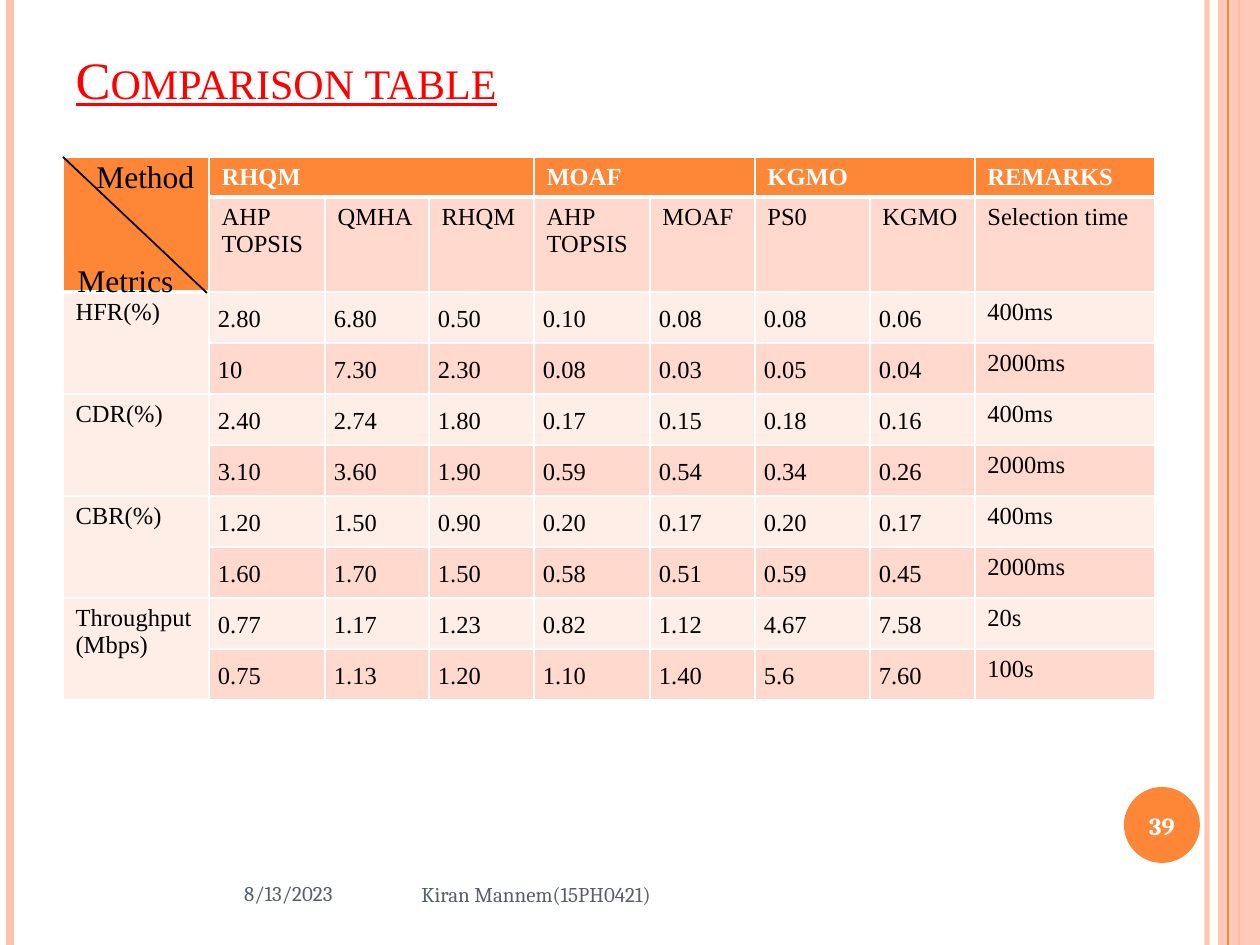
import pptx
import pptx.dml.color
import pptx.enum.shapes
import pptx.enum.text
import pptx.oxml
import pptx.oxml.ns
import pptx.util
import lxml.etree

PX = 914400 / 126
ORANGE, PEACH, BAND, LIGHT = "FE8637", "FEC3AE", "FFD9CE", "FFEDE8"
WHITE, BLACK, RED, SLATE = "FFFFFF", "000000", "FF0000", "575F6D"
SERIF, FOOTER_FONT = "Times New Roman", "Cambria"
ALIGN = pptx.enum.text.PP_ALIGN
ANCHOR = pptx.enum.text.MSO_ANCHOR

COLUMNS = [146, 116, 104, 105, 116, 105, 115, 105, 180]
ROWS = [40, 95] + [51] * 8
METHODS = [("RHQM", 1, 3), ("MOAF", 4, 5), ("KGMO", 6, 7), ("REMARKS", 8, 8)]
SUBHEADS = ["AHP\nTOPSIS", "QMHA", "RHQM", "AHP\nTOPSIS", "MOAF", "PS0", "KGMO",
            "Selection time"]
METRICS = ["HFR(%)", "CDR(%)", "CBR(%)", "Throughput(Mbps)"]
RESULTS = [
    ["2.80", "6.80", "0.50", "0.10", "0.08", "0.08", "0.06", "400ms"],
    ["10", "7.30", "2.30", "0.08", "0.03", "0.05", "0.04", "2000ms"],
    ["2.40", "2.74", "1.80", "0.17", "0.15", "0.18", "0.16", "400ms"],
    ["3.10", "3.60", "1.90", "0.59", "0.54", "0.34", "0.26", "2000ms"],
    ["1.20", "1.50", "0.90", "0.20", "0.17", "0.20", "0.17", "400ms"],
    ["1.60", "1.70", "1.50", "0.58", "0.51", "0.59", "0.45", "2000ms"],
    ["0.77", "1.17", "1.23", "0.82", "1.12", "4.67", "7.58", "20s"],
    ["0.75", "1.13", "1.20", "1.10", "1.40", "5.6", "7.60", "100s"],
]


def emu(*lengths):
    return [pptx.util.Emu(round(n * PX)) for n in lengths]


def rgb(value):
    return pptx.dml.color.RGBColor.from_string(value)


def set_alpha(sp, percent):
    """Make the shape's first solid colour partly transparent."""
    color = next(sp._element.spPr.iter(pptx.oxml.ns.qn("a:srgbClr")))
    lxml.etree.SubElement(color, pptx.oxml.ns.qn("a:alpha"), val=str(percent * 1000))


class Deck:
    """Holds the slide and draws styled elements on it, in px."""

    def __init__(self, prs):
        self.s = prs.slides.add_slide(prs.slide_layouts[5])

    def format(self, tf, size, color, font=SERIF, bold=False, align=ALIGN.LEFT):
        for p in tf.paragraphs:
            p.alignment = align
            for r in p.runs:
                r.font.size, r.font.name, r.font.bold = pptx.util.Pt(size), font, bold
                r.font.color.rgb = rgb(color)

    def title(self, text, *box):
        sp = self.s.shapes.title
        sp.left, sp.top, sp.width, sp.height = emu(*box)
        tf = sp.text_frame
        tf.text = text
        tf.vertical_anchor = ANCHOR.BOTTOM
        self.format(tf, 30, RED)
        font = tf.paragraphs[0].runs[0].font
        font.underline = True
        font._element.set("cap", "small")

    def text(self, text, box, size, color, anchor=ANCHOR.MIDDLE, shapes=None, **style):
        sp = (shapes or self.s.shapes).add_textbox(*emu(*box))
        tf = sp.text_frame
        tf.word_wrap = True
        tf.vertical_anchor = anchor
        tf.text = text
        self.format(tf, size, color, **style)

    def line(self, x1, y1, x2, y2, color, width, shapes=None):
        sp = (shapes or self.s.shapes).add_connector(
            pptx.enum.shapes.MSO_CONNECTOR.STRAIGHT, *emu(x1, y1, x2, y2))
        sp.line.color.rgb = rgb(color)
        sp.line.width = pptx.util.Pt(width)
        lxml.etree.SubElement(sp._element.spPr, pptx.oxml.ns.qn("a:effectLst"))
        return sp

    def shape(self, kind, box, color):
        sp = self.s.shapes.add_shape(kind, *emu(*box))
        sp.shadow.inherit = False
        sp.fill.solid()
        sp.fill.fore_color.rgb = rgb(color)
        sp.line.fill.background()
        return sp

    def table(self, left, top, columns, rows):
        tbl = self.s.shapes.add_table(
            len(rows), len(columns), *emu(left, top, sum(columns), sum(rows))).table
        for column, width in zip(tbl.columns, emu(*columns)):
            column.width = width
        for row, height in zip(tbl.rows, emu(*rows)):
            row.height = height
        return tbl

    def cell(self, cell, fill, top=1, bottom=1):
        """Fill a cell, drop its margins and give it white borders."""
        cell.fill.solid()
        cell.fill.fore_color.rgb = rgb(fill)
        cell.margin_left = cell.margin_right = 0
        cell.margin_top = cell.margin_bottom = 0
        sides = [("L", 1), ("R", 1), ("T", top), ("B", bottom)]
        for i, (side, width) in enumerate(sides):
            cell._tc.tcPr.insert(i, pptx.oxml.parse_xml(
                f'<a:ln{side} {pptx.oxml.ns.nsdecls("a")} w="{width * 12700}">'
                f'<a:solidFill><a:srgbClr val="{WHITE}"/></a:solidFill></a:ln{side}>'))

    def cell_text(self, cell, text, color=BLACK, bold=False, value=False):
        cell.margin_left = cell.margin_right = emu(9 if value else 12.6)[0]
        cell.margin_top = cell.margin_bottom = emu(0 if value else 6.3)[0]
        tf = cell.text_frame
        tf.text = text
        self.format(tf, 14, color, bold=bold)
        if value:
            tf.paragraphs[0].line_spacing = 1.5
            tf.paragraphs[0].space_after = pptx.util.Pt(10)


def comparison_table(deck):
    tbl = deck.table(63, 157, COLUMNS, ROWS)
    for y in range(len(ROWS)):
        for x in range(len(COLUMNS)):
            if y == 0 or (x == 0 and y == 1):
                fill = ORANGE
            else:
                fill = BAND if x and y % 2 else LIGHT
            heading_edge = y == 0 and x or y == 1 and x == 0
            below_heading = y == 1 and x or y == 2 and x == 0
            deck.cell(tbl.cell(y, x), fill, 3 if below_heading else 1,
                      3 if heading_edge else 1)
    for y in range(0, len(ROWS), 2):
        tbl.cell(y, 0).merge(tbl.cell(y + 1, 0))
    for name, first, last in METHODS:
        if last > first:
            tbl.cell(0, first).merge(tbl.cell(0, last))
        deck.cell_text(tbl.cell(0, first), name, WHITE, bold=True)
    for i, name in enumerate(METRICS):
        deck.cell_text(tbl.cell(2 + 2 * i, 0), name)
    for y, row in enumerate([SUBHEADS] + RESULTS, 1):
        for x, text in enumerate(row, 1):
            deck.cell_text(tbl.cell(y, x), text, value=y > 1 and x < 8)


def main():
    prs = pptx.Presentation()
    prs.slide_width, prs.slide_height = emu(1260, 945)
    deck = Deck(prs)
    shapes = pptx.enum.shapes.MSO_SHAPE

    set_alpha(deck.line(1207, 0, 1207, 945, PEACH, 3), 93)
    deck.line(10, 0, 10, 945, PEACH, 4.5)
    deck.line(1239, 0, 1239, 945, ORANGE, 1.5)
    set_alpha(deck.shape(shapes.RECTANGLE, (1218, 0, 42, 945), PEACH), 87)
    deck.line(1228, 0, 1228, 945, ORANGE, 0.75)
    deck.shape(shapes.OVAL, (1124, 787, 76, 76), ORANGE)

    deck.title("Comparison table", 63, 38, 1029, 78)
    comparison_table(deck)

    footer = {"size": 12, "color": SLATE, "font": FOOTER_FONT}
    deck.text("8/13/2023", (68, 867, 277, 53), align=ALIGN.RIGHT, **footer)
    deck.text("39", (1120, 790, 84, 72), 14, WHITE, font=FOOTER_FONT, bold=True,
              align=ALIGN.CENTER)
    deck.text("Kiran Mannem(15PH0421)", (409, 869, 441, 50), **footer)

    corner = deck.s.shapes.add_group_shape().shapes
    deck.line(63, 157, 207, 293, BLACK, 1, corner)
    for label, x, y in [("Metrics", 65, 255), ("Method", 84, 151)]:
        deck.text(label, (x, y, 136, 50), 18, BLACK, ANCHOR.TOP, corner)

    prs.save("out.pptx")


if __name__ == "__main__":
    main()
